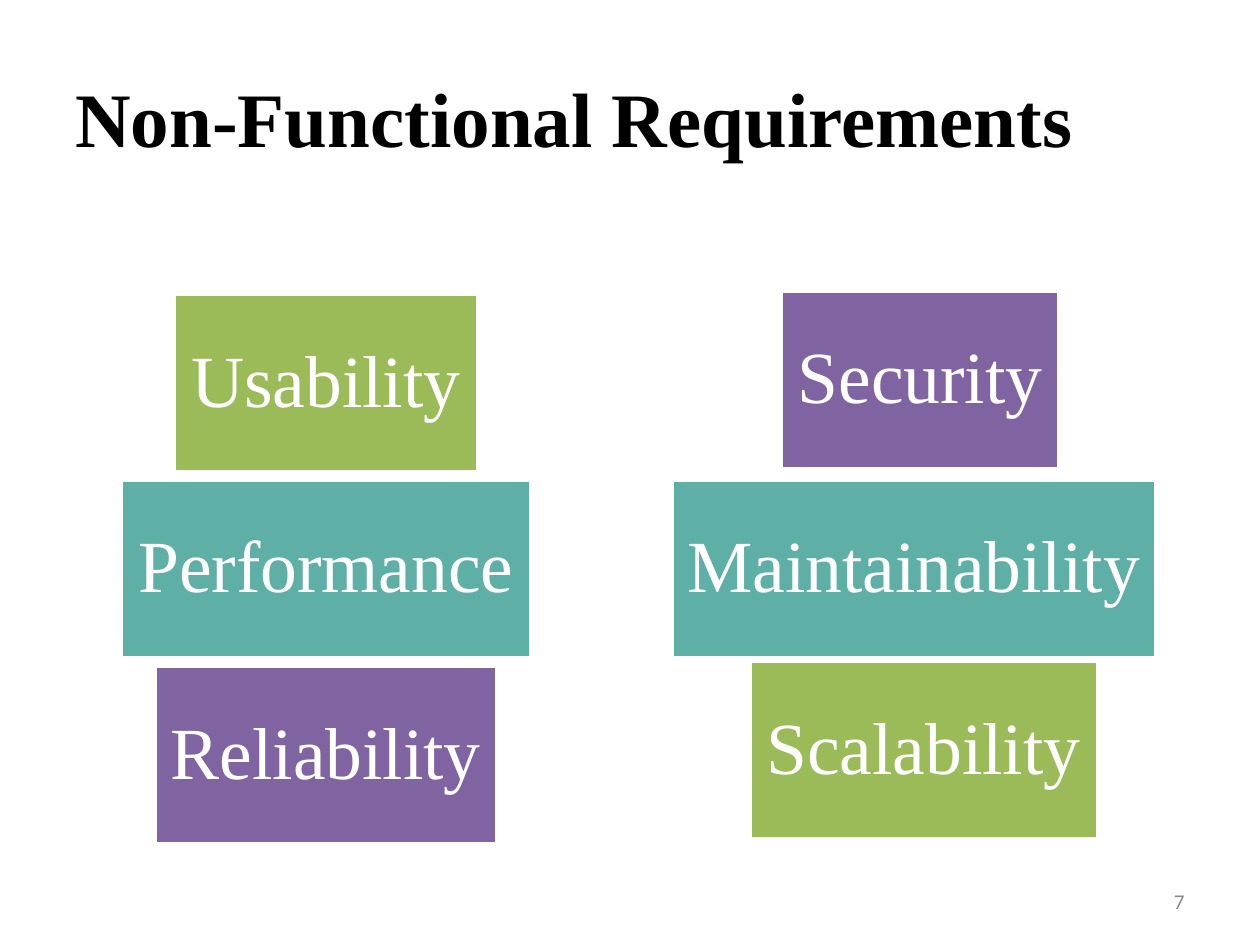
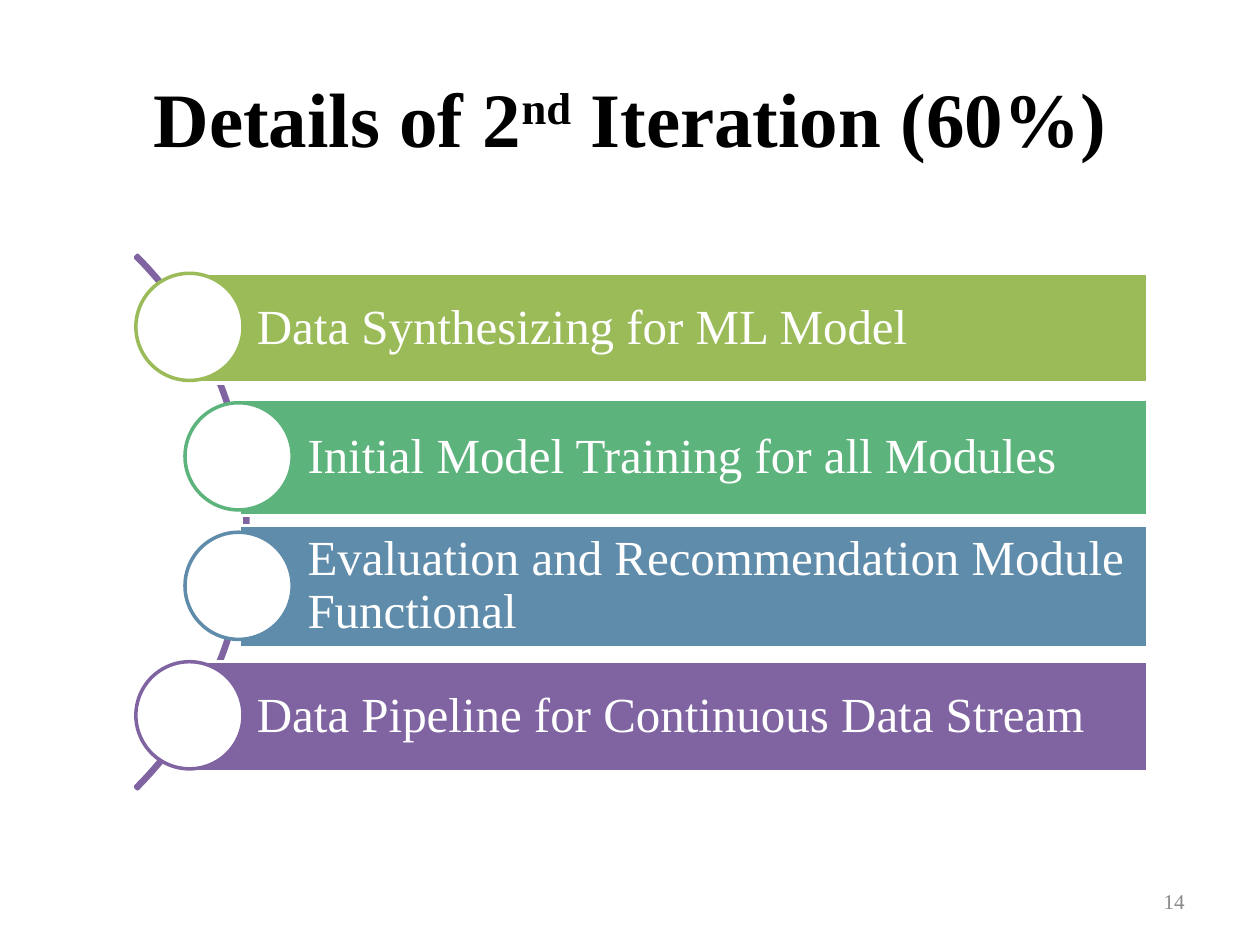
from dataclasses import dataclass

from pptx import Presentation
from pptx.dml.color import RGBColor
from pptx.enum.shapes import MSO_SHAPE
from pptx.enum.text import MSO_ANCHOR, PP_ALIGN
from pptx.shapes.autoshape import Shape
from pptx.slide import Slide
from pptx.text.text import TextFrame
from pptx.util import Cm, Pt

WHITE = RGBColor(0xFF, 0xFF, 0xFF)
BLACK = RGBColor(0x00, 0x00, 0x00)
GREY = RGBColor(0x88, 0x88, 0x88)
OLIVE = RGBColor(0x9B, 0xBB, 0x59)
TEAL = RGBColor(0x5E, 0xAF, 0xA6)
GREEN = RGBColor(0x5C, 0xB3, 0x7C)
BLUE = RGBColor(0x60, 0x8C, 0xAB)
PURPLE = RGBColor(0x80, 0x64, 0xA2)

SERIF = "Times New Roman"
SANS = "Calibri"
TITLE_FONT = {"name": SERIF, "size": Pt(44), "bold": True}
TILE_FONT = {"name": SERIF, "size": Pt(42)}
STEP_FONT = {"name": SERIF, "size": Pt(28)}
PAGE_FONT = {"size": Pt(12)}

OUTLINE = Pt(2)
TILE_HEIGHT = 3.58
DISC_SIZE = 2.16
DISC_TOP = 5.51
DISC_PITCH = 2.61
BAR_RIGHT = 23.13
ARC_ADJUSTMENTS = (189, 27, 0.004)


@dataclass(frozen=True)
class Tile:
    label: str
    center: float
    top: float
    width: float
    color: RGBColor


@dataclass(frozen=True)
class Step:
    label: str
    bar_left: float
    bar_top: float
    bar_height: float
    disc_left: float
    color: RGBColor


@dataclass(frozen=True)
class TitlePart:
    text: str
    raised: bool = False


TILES = (
    Tile("Usability", 6.57, 5.94, 6.12, OLIVE),
    Tile("Performance", 6.57, 9.68, 8.26, TEAL),
    Tile("Reliability", 6.57, 13.44, 6.88, PURPLE),
    Tile("Scalability", 18.62, 13.34, 7.01, OLIVE),
    Tile("Maintainability", 18.42, 9.68, 9.75, TEAL),
    Tile("Security", 18.55, 5.87, 5.61, PURPLE),
)

STEPS = (
    Step("Data Synthesizing for ML Model", 3.81, 5.51, 2.21, 2.74, OLIVE),
    Step("Initial Model Training for all Modules", 4.83, 8.05, 2.34, 3.73, GREEN),
    Step("Evaluation and Recommendation Module Functional", 4.83, 10.59, 2.46, 3.73, BLUE),
    Step("Data Pipeline for Continuous Data Stream", 3.81, 13.34, 2.21, 2.74, PURPLE),
)


def apply_format(target: object, values: dict) -> None:
    for attribute, value in values.items():
        setattr(target, attribute, value)


def set_frame(frame: TextFrame, side: float, edge: float, wrap: bool = True) -> None:
    apply_format(frame, {
        "margin_left": Cm(side), "margin_right": Cm(side),
        "margin_top": Cm(edge), "margin_bottom": Cm(edge),
        "vertical_anchor": MSO_ANCHOR.MIDDLE, "word_wrap": wrap,
    })


def write(frame: TextFrame, parts: tuple[TitlePart, ...], font: dict,
          color: RGBColor, align: PP_ALIGN, spacing: float = 1.0) -> None:
    paragraph = frame.paragraphs[0]
    apply_format(paragraph, {"alignment": align, "line_spacing": spacing})
    for part in parts:
        run = paragraph.add_run()
        run.text = part.text
        apply_format(run.font, font)
        run.font.color.rgb = color
        if part.raised:
            run._r.get_or_add_rPr().set("baseline", "30000")


def add_title(slide: Slide, parts: tuple[TitlePart, ...], align: PP_ALIGN) -> None:
    title = slide.shapes.add_textbox(Cm(1.27), Cm(0.76), Cm(22.86), Cm(3.18))
    set_frame(title.text_frame, 0.25, 0.25)
    write(title.text_frame, parts, TITLE_FONT, BLACK, align)


def add_page_number(slide: Slide, number: str, font_name: str) -> None:
    page = slide.shapes.add_textbox(Cm(18.21), Cm(17.65), Cm(5.92), Cm(1.02))
    set_frame(page.text_frame, 0.25, 0.13)
    write(page.text_frame, (TitlePart(number),), PAGE_FONT | {"name": font_name},
          GREY, PP_ALIGN.RIGHT)


def add_figure(slide: Slide, kind: MSO_SHAPE, left: float, top: float, width: float,
               height: float, fill: RGBColor | None, line: RGBColor) -> Shape:
    figure = slide.shapes.add_shape(kind, Cm(left), Cm(top), Cm(width), Cm(height))
    figure.shadow.inherit = False
    if fill is None:
        figure.fill.background()
    else:
        figure.fill.solid()
        figure.fill.fore_color.rgb = fill
    figure.line.color.rgb = line
    figure.line.width = OUTLINE
    return figure


def add_tile(slide: Slide, tile: Tile) -> None:
    block = add_figure(slide, MSO_SHAPE.RECTANGLE, tile.center - tile.width / 2,
                       tile.top, tile.width, TILE_HEIGHT, tile.color, WHITE)
    set_frame(block.text_frame, 0.3, 0.3, wrap=False)
    write(block.text_frame, (TitlePart(tile.label),), TILE_FONT, WHITE,
          PP_ALIGN.CENTER, 0.9)


def add_step(slide: Slide, step: Step, disc_top: float) -> None:
    bar = add_figure(slide, MSO_SHAPE.RECTANGLE, step.bar_left, step.bar_top,
                     BAR_RIGHT - step.bar_left, step.bar_height, step.color, WHITE)
    set_frame(bar.text_frame, 0.2, 0.2)
    bar.text_frame.margin_left = Cm(1.37)
    write(bar.text_frame, (TitlePart(step.label),), STEP_FONT, WHITE,
          PP_ALIGN.LEFT, 0.9)
    add_figure(slide, MSO_SHAPE.OVAL, step.disc_left, disc_top, DISC_SIZE, DISC_SIZE,
               WHITE, step.color)


def build_requirements(slide: Slide) -> None:
    add_title(slide, (TitlePart("Non-Functional Requirements"),), PP_ALIGN.LEFT)
    add_page_number(slide, "7", SANS)
    for tile in TILES:
        add_tile(slide, tile)


def build_iteration(slide: Slide) -> None:
    heading = (TitlePart("Details of 2"), TitlePart("nd", raised=True),
               TitlePart(" Iteration (60%)"))
    add_title(slide, heading, PP_ALIGN.CENTER)
    add_page_number(slide, "14", SERIF)
    arc = add_figure(slide, MSO_SHAPE.BLOCK_ARC, -10.21, 2.92, 15.21, 15.21, None, PURPLE)
    for index, value in enumerate(ARC_ADJUSTMENTS):
        arc.adjustments[index] = value
    for index, step in enumerate(STEPS):
        add_step(slide, step, DISC_TOP + index * DISC_PITCH)


def main() -> None:
    deck = Presentation()
    apply_format(deck, {"slide_width": Cm(25.4), "slide_height": Cm(19.05)})
    for build in (build_requirements, build_iteration):
        build(deck.slides.add_slide(deck.slide_layouts[6]))
    deck.save("out.pptx")


if __name__ == "__main__":
    main()
